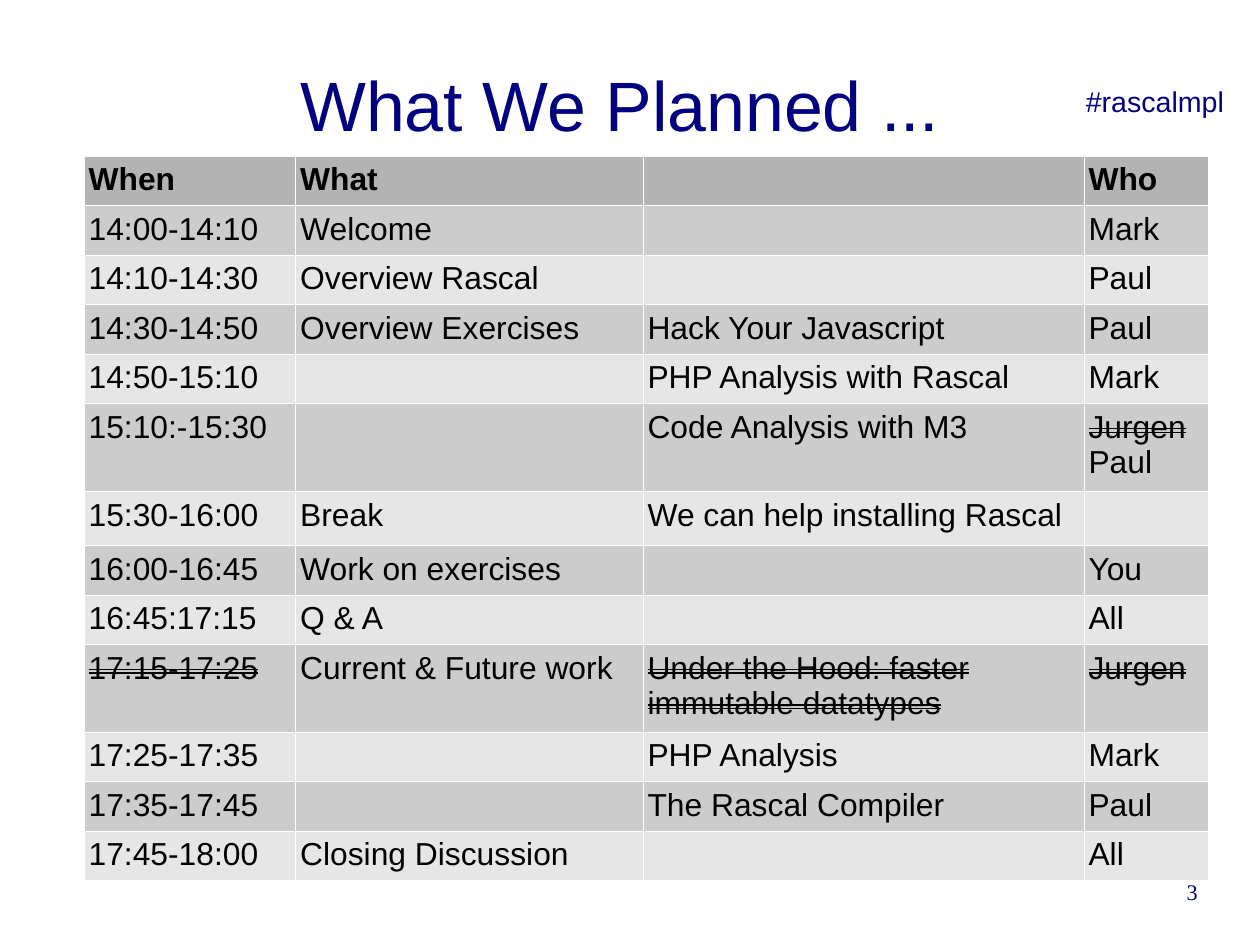
from typing import NamedTuple

from lxml.etree import SubElement as Sub
from pptx import Presentation
from pptx.dml.color import RGBColor as Rgb
from pptx.enum.text import MSO_ANCHOR as Anchor, PP_ALIGN as Align
from pptx.oxml.ns import qn
from pptx.util import Emu, Pt

SCALE = 3600
COLORS = {
    "navy": "000080",
    "black": "000000",
    "white": "FFFFFF",
    "head": "B3B3B3",
    "dark": "CCCCCC",
    "light": "E6E6E6",
}
LINE, BREAK, DOUBLE = 110, 120, 195
WIDTHS = [470, 772, 980, 277]


class Label(NamedTuple):
    text: str
    left: int
    top: int
    width: int
    height: int
    size: int
    font: str = "Arial"
    align: Align = Align.LEFT
    anchor: Anchor = Anchor.TOP
    wrap: bool = True
    side: int = 0
    edge: int = 0


class Slot(NamedTuple):
    when: str
    what: str
    topic: str
    who: str
    height: int = LINE


LABELS = [
    Label("What We Planned ... ", 140, 56, 2520, 350, 44,
          align=Align.CENTER, anchor=Anchor.MIDDLE),
    Label("#rascalmpl", 2388, 173, 358, 198, 18, wrap=False, side=25, edge=13),
    Label("3", 2009, 1951, 653, 145, 14, font="Times New Roman", align=Align.RIGHT),
]
HOOD = "Under the Hood: faster immutable datatypes"
SLOTS = [
    Slot("When", "What", "", "Who"),
    Slot("14:00-14:10", "Welcome", "", "Mark"),
    Slot("14:10-14:30", "Overview Rascal", "", "Paul"),
    Slot("14:30-14:50", "Overview Exercises", "Hack Your Javascript", "Paul"),
    Slot("14:50-15:10", "", "PHP Analysis with Rascal", "Mark"),
    Slot("15:10:-15:30", "", "Code Analysis with M3", "Jurgen\nPaul", DOUBLE),
    Slot("15:30-16:00", "Break", "We can help installing Rascal", "", BREAK),
    Slot("16:00-16:45", "Work on exercises", "", "You"),
    Slot("16:45:17:15", "Q & A", "", "All"),
    Slot("17:15-17:25", "Current & Future work", HOOD, "Jurgen", DOUBLE),
    Slot("17:25-17:35", "", "PHP Analysis", "Mark"),
    Slot("17:35-17:45", "", "The Rascal Compiler", "Paul"),
    Slot("17:45-18:00", "Closing Discussion", "", "All"),
]
STRUCK = {"17:15-17:25", HOOD, "Jurgen"}


def px(count: int) -> Emu:
    return Emu(count * SCALE)


def style(run, size: int, font: str, color: str, bold: bool = False) -> None:
    run.font.size = Pt(size)
    run.font.name = font
    run.font.bold = bold
    run.font.color.rgb = Rgb.from_string(COLORS[color])


def draw_label(slide, label: Label) -> None:
    box = slide.shapes.add_textbox(
        px(label.left), px(label.top), px(label.width), px(label.height))
    frame = box.text_frame
    frame.word_wrap = label.wrap
    frame.vertical_anchor = label.anchor
    frame.margin_left = frame.margin_right = px(label.side)
    frame.margin_top = frame.margin_bottom = px(label.edge)
    frame.text = label.text
    para = frame.paragraphs[0]
    para.alignment = label.align
    style(para.runs[0], label.size, label.font, "navy")


def add_borders(cell) -> None:
    props = cell._tc.get_or_add_tcPr()
    for index, tag in enumerate(("a:lnL", "a:lnR", "a:lnT", "a:lnB")):
        line = props.makeelement(qn(tag), {"w": str(Pt(0.57))})
        props.insert(index, line)
        fill = Sub(line, qn("a:solidFill"))
        Sub(fill, qn("a:srgbClr"), val=COLORS["white"])


def draw_cell(cell, text: str, fill: str, bold: bool) -> None:
    cell.fill.solid()
    cell.fill.fore_color.rgb = Rgb.from_string(COLORS[fill])
    cell.margin_left = cell.margin_right = px(10)
    cell.margin_top = cell.margin_bottom = px(13)
    add_borders(cell)
    cell.text_frame.text = text
    for para in cell.text_frame.paragraphs:
        for run in para.runs:
            style(run, 20, "Arial", "black", bold)
            if run.text in STRUCK:
                run._r.get_or_add_rPr().set("strike", "dblStrike")


def draw_table(slide, slots: list[Slot]) -> None:
    height = sum(slot.height for slot in slots)
    table = slide.shapes.add_table(
        len(slots), len(WIDTHS), px(187), px(347),
        px(sum(WIDTHS)), px(height)).table
    table.first_row = table.horz_banding = False
    for column, width in zip(table.columns, WIDTHS):
        column.width = px(width)
    for index, (row, slot) in enumerate(zip(table.rows, slots)):
        row.height = px(slot.height)
        fill = "head" if index == 0 else ("light", "dark")[index % 2]
        for cell, text in zip(row.cells, slot[:4]):
            draw_cell(cell, text, fill, index == 0)


def main() -> None:
    deck = Presentation()
    deck.slide_width, deck.slide_height = px(2800), px(2100)
    slide = deck.slides.add_slide(deck.slide_layouts[6])
    draw_table(slide, SLOTS)
    for label in LABELS:
        draw_label(slide, label)
    deck.save("out.pptx")


if __name__ == "__main__":
    main()
